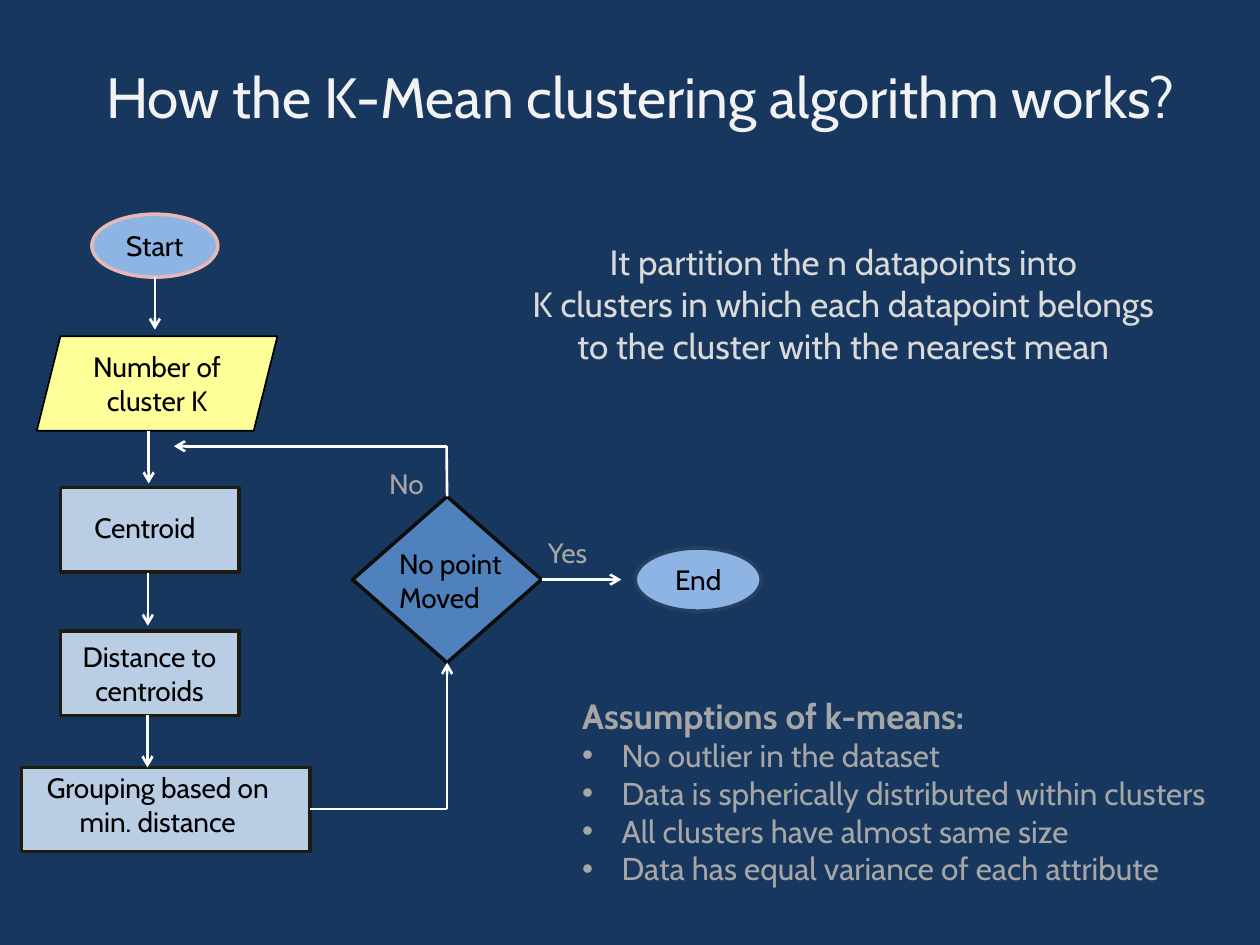
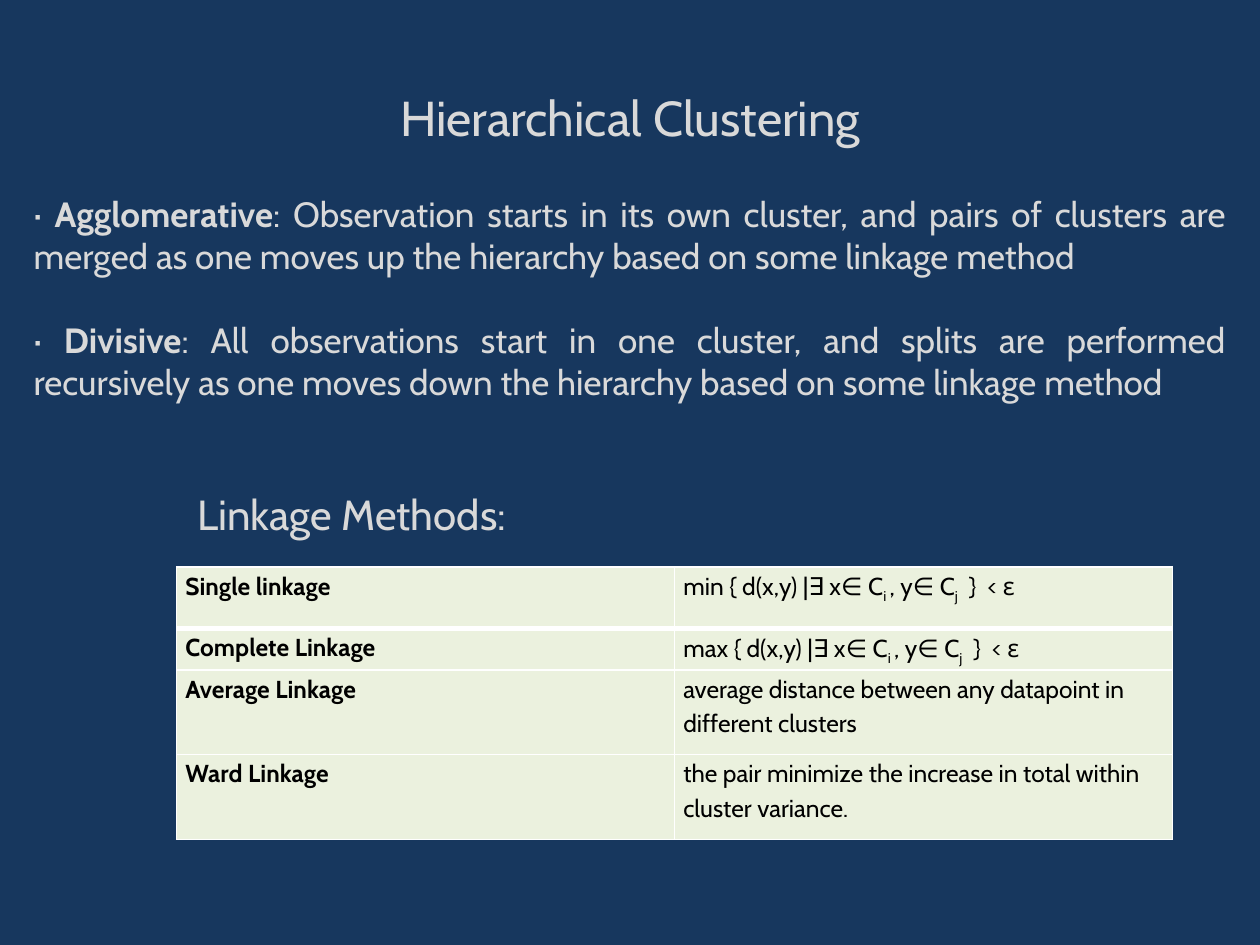
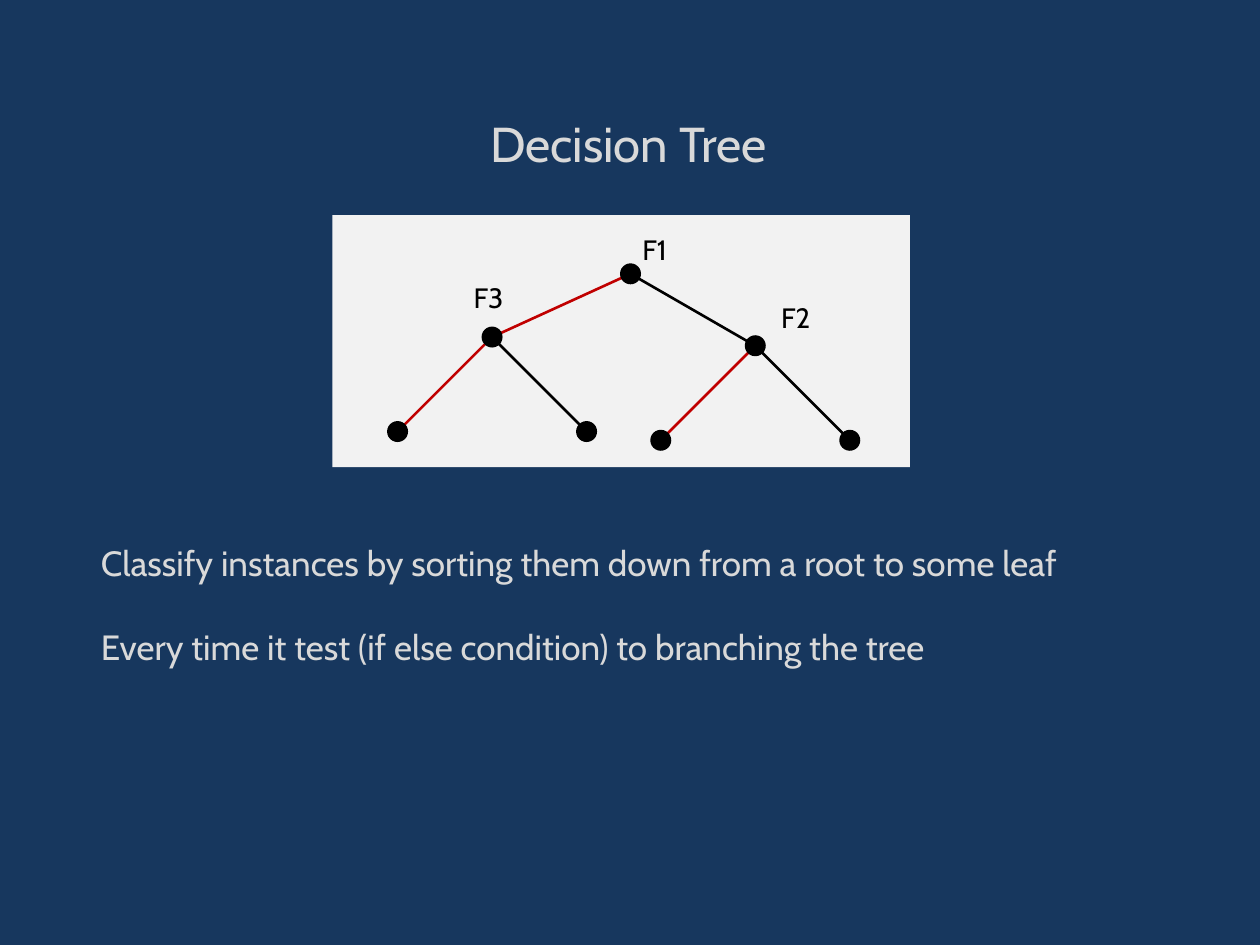
"""Build three slides on k-means, hierarchical clustering and decision trees."""
from lxml import etree
from pptx import Presentation
from pptx.dml.color import RGBColor
from pptx.enum.shapes import MSO_CONNECTOR, MSO_SHAPE
from pptx.enum.text import MSO_ANCHOR, MSO_AUTO_SIZE, PP_ALIGN
from pptx.oxml.ns import qn
from pptx.util import Pt

LEFT, CENTER, JUSTIFY = PP_ALIGN.LEFT, PP_ALIGN.CENTER, PP_ALIGN.JUSTIFY
MIDDLE, FIXED = MSO_ANCHOR.MIDDLE, MSO_AUTO_SIZE.NONE
OVAL, RECTANGLE = MSO_SHAPE.OVAL, MSO_SHAPE.RECTANGLE
PARALLELOGRAM, DIAMOND = MSO_SHAPE.PARALLELOGRAM, MSO_SHAPE.DIAMOND
STRAIGHT = MSO_CONNECTOR.STRAIGHT

FONT = "Cabin"
NAVY, WHITE, BLACK, RED = "17375E", "FFFFFF", "000000", "C00000"
PALE, LIGHT, GREY = "F2F2F2", "D9D9D9", "A6A6A6"
SKY, STEEL, MIST, INK = "8EB4E3", "4F81BD", "B9CDE5", "1E1C11"
rgb = RGBColor.from_string


def write(frame, runs, size, hue, bullet=None, **layout):
    """Append one paragraph; runs is a string or (text, style) pairs."""
    paragraph = frame.add_paragraph() if frame.text else frame.paragraphs[0]
    properties = paragraph._p.get_or_add_pPr()
    hanging = Pt(22.5) if bullet else 0
    properties.set("marL", str(hanging))
    properties.set("indent", str(-hanging))
    if bullet:
        etree.SubElement(properties, qn("a:buChar")).set("char", bullet)
    else:
        etree.SubElement(properties, qn("a:buNone"))
    for name, value in ({"alignment": LEFT, "space_before": Pt(0)} | layout).items():
        setattr(paragraph, name, value)
    for text, style in [(runs, "plain")] if isinstance(runs, str) else runs:
        run = paragraph.add_run()
        run.text = text
        font_format = {"name": FONT, "size": Pt(size), "bold": style == "bold"}
        for name, value in font_format.items():
            setattr(run.font, name, value)
        run.font.color.rgb = rgb(hue)
        if style == "sub":
            run._r.get_or_add_rPr().set("baseline", "-25000")


def draw(slide, kind, box, fill, outline=None, width=0):
    """Draw a filled shape and return it."""
    shape = slide.shapes.add_shape(kind, *map(Pt, box))
    shape.shadow.inherit = False
    shape.fill.solid()
    shape.fill.fore_color.rgb = rgb(fill)
    if outline:
        shape.line.color.rgb = rgb(outline)
        shape.line.width = Pt(width)
    else:
        shape.line.fill.background()
    return shape


deck = Presentation()
deck.slide_width, deck.slide_height = Pt(720), Pt(540)
backdrop = deck.slide_master.background.fill
backdrop.solid()
backdrop.fore_color.rgb = rgb(NAVY)

pages = [
    ("How the K-Mean clustering algorithm works?", 32.4, PALE, CENTER,
     (42, 4, 648, 90), {"margin_top": Pt(15)}, (325.5, 393, 394, 140)),
    ("Hierarchical Clustering", 28, LIGHT, CENTER,
     (36, 21.6, 648, 90), {}, (12, 106.5, 696, 150.5)),
    ("Decision Tree", 28, LIGHT, LEFT,
     (273, 60, 181, 63), {"margin_bottom": Pt(23)}, (50.4, 306, 600, 101.5)),
]
slides, bodies = [], []
for heading, size, hue, align, heading_box, insets, body_box in pages:
    slide = deck.slides.add_slide(deck.slide_layouts[1])
    title, body = slide.placeholders
    for holder, box in ((title, heading_box), (body, body_box)):
        for name, value in zip(("left", "top", "width", "height"), box):
            setattr(holder, name, Pt(value))
        holder.text_frame.auto_size = FIXED
    for name, value in insets.items():
        setattr(title.text_frame, name, value)
    write(title.text_frame, heading, size, hue, alignment=align)
    slides.append(slide)
    bodies.append(body.text_frame)
kmeans, hierarchy, tree = slides
assumptions, strategies, explanation = bodies

write(assumptions, [("Assumptions of k-means:", "bold")], 20, GREY)
for assumption in (
    "No outlier in the dataset",
    "Data is spherically distributed within clusters",
    "All clusters have almost same size",
    "Data has equal variance of each attribute",
):
    write(assumptions, assumption, 18, GREY, "•")

for gap, strategy, description in (
    (0, "Agglomerative", ": Observation starts in its own cluster, and pairs of clusters are "
     "merged as one moves up the hierarchy based on some linkage method"),
    (24, "Divisive", ": All observations start in one cluster, and splits are performed "
     "recursively as one moves down the hierarchy based on some linkage method"),
):
    runs = [("· ", "plain"), (strategy, "bold"), (description, "plain")]
    write(strategies, runs, 20, LIGHT, alignment=JUSTIFY, space_before=Pt(gap))

for gap, sentence in (
    (0, "Classify instances by sorting them down from a root to some leaf"),
    (24, "Every time it test (if else condition) to branching the tree"),
):
    write(explanation, sentence, 20, LIGHT, space_before=Pt(gap))

steps = [
    (OVAL, (52.5, 122.4, 72, 36), SKY, "E6B9B8", 2, "Start"),
    (PARALLELOGRAM, (21, 192.2, 137.5, 54), "FFFF99", BLACK, 1, "Number of cluster K"),
    (RECTANGLE, (34.5, 278.6, 102, 48.2), MIST, INK, 2, None),
    (RECTANGLE, (34.5, 360.7, 102, 48.2), MIST, INK, 2, "Distance to centroids"),
    (RECTANGLE, (12.2, 438.5, 165, 48.2), MIST, INK, 2, None),
    (DIAMOND, (201.5, 283.7, 108, 95), STEEL, "0D0D0D", 2, None),
    (OVAL, (363, 313.2, 72, 36), SKY, "254061", 2, "End"),
]
for kind, box, fill, outline, width, caption in steps:
    step = draw(kmeans, kind, box, fill, outline, width)
    if caption:
        step.text_frame.word_wrap = True
        step.text_frame.vertical_anchor = MIDDLE
        write(step.text_frame, caption, 16, BLACK, alignment=CENTER)

draw(tree, RECTANGLE, (190, 123, 330, 144), PALE)
root, right_node, left_node = (360.3, 156.5), (431.6, 197.6), (281.2, 192.6)
nodes = [root, right_node, left_node]
edges = [(root, right_node, BLACK), (root, left_node, RED)]
for x, y in (right_node, left_node):
    for offset, hue in ((-54, RED), (54, BLACK)):
        leaf = (x + offset, y + 54)
        nodes.append(leaf)
        edges.append(((x, y), leaf, hue))

links = [(tree, start, end, hue, False) for start, end, hue in edges]
for x, y in ((88.5, 158.4), (85, 246.3), (84.5, 327.6), (84.3, 408.5)):
    links.append((kmeans, (x, y), (x, y + 30), WHITE, True))
for start, end, arrow in (
    ((177, 462.3), (255.5, 462.3), False),
    ((255.5, 462.3), (255.5, 378.7), True),
    ((255.5, 283.7), (255.2, 255), False),
    ((255.2, 255), (99.4, 255), True),
    ((309.5, 331.2), (355, 331.2), True),
):
    links.append((kmeans, start, end, WHITE, arrow))
for slide, start, end, hue, arrow in links:
    link = slide.shapes.add_connector(STRAIGHT, *map(Pt, start + end))
    link.line.color.rgb = rgb(hue)
    link.line.width = Pt(1.5)
    properties = link._element.spPr
    if arrow:
        etree.SubElement(properties.find(qn("a:ln")), qn("a:tailEnd")).set("type", "arrow")
    etree.SubElement(properties, qn("a:effectLst"))

for x, y in nodes:
    draw(tree, OVAL, (x - 6, y - 6, 12, 12), BLACK)

labels = [
    (kmeans, (46.8, 288, 84, 26.6), ["Centroid"], 16, BLACK, LEFT),
    (kmeans, (12.2, 437, 156, 46), ["Grouping based on min. distance"], 16, BLACK, CENTER),
    (kmeans, (215.3, 262.8, 34, 26.6), ["No"], 16, GREY, LEFT),
    (kmeans, (306, 302.4, 54, 26.6), ["Yes"], 16, GREY, LEFT),
    (kmeans, (221, 309, 80, 46), ["No point", "Moved"], 16, BLACK, LEFT),
    (kmeans, (244, 134, 476, 80),
     ["It partition the n datapoints into", "K clusters in which each datapoint belongs",
      "to the cluster with the nearest mean"], 20, LIGHT, CENTER),
    (hierarchy, (105.8, 275.8, 203, 36), ["Linkage Methods:"], 24, LIGHT, LEFT),
    (tree, (360, 129.6, 32, 26.6), ["F1"], 16, BLACK, LEFT),
    (tree, (439.2, 168.5, 48, 26.6), ["F2"], 16, BLACK, LEFT),
    (tree, (263.5, 157, 32, 26.6), ["F3"], 16, BLACK, LEFT),
]
for slide, box, lines, size, hue, align in labels:
    label = slide.shapes.add_textbox(*map(Pt, box)).text_frame
    label.word_wrap = True
    if align == LEFT:
        label.margin_right = 0
    for line in lines:
        write(label, line, size, hue, alignment=align)

membership = [(" { d(x,y) |∃ x∈ C", "plain"), ("i ", "sub"), (", y∈ C", "plain"),
              ("j", "sub"), ("  }  < ε", "plain")]
linkages = [
    (35.3, "Single linkage", [("min", "plain")] + membership),
    (23.5, "Complete Linkage", [("max", "plain")] + membership),
    (48.5, "Average Linkage", "average distance between any datapoint in different clusters"),
    (48.5, "Ward Linkage", "the pair minimize the increase in total within cluster variance."),
]
table = hierarchy.shapes.add_table(len(linkages), 2, Pt(101), Pt(324), Pt(569), Pt(156)).table
table.first_row = table.horz_banding = False
cell_format = {"margin_left": Pt(5), "margin_right": Pt(5), "margin_top": 0, "margin_bottom": 0}
for row, (height, method, rule) in enumerate(linkages):
    table.rows[row].height = Pt(height)
    for column, runs in enumerate(([(method, "bold")], rule)):
        cell = table.cell(row, column)
        for name, value in cell_format.items():
            setattr(cell, name, value)
        properties = cell._tc.get_or_add_tcPr()
        for side in "LRTB":
            weight = 3 if (row, side) in ((0, "B"), (1, "T")) else 1
            border = etree.SubElement(properties, qn(f"a:ln{side}"), w=str(Pt(weight)))
            paint = etree.SubElement(border, qn("a:solidFill"))
            etree.SubElement(paint, qn("a:srgbClr"), val=WHITE)
        cell.fill.solid()
        cell.fill.fore_color.rgb = rgb("EBF1DE")
        write(cell.text_frame, runs, 14, BLACK, line_spacing=1.15)

deck.save("out.pptx")
